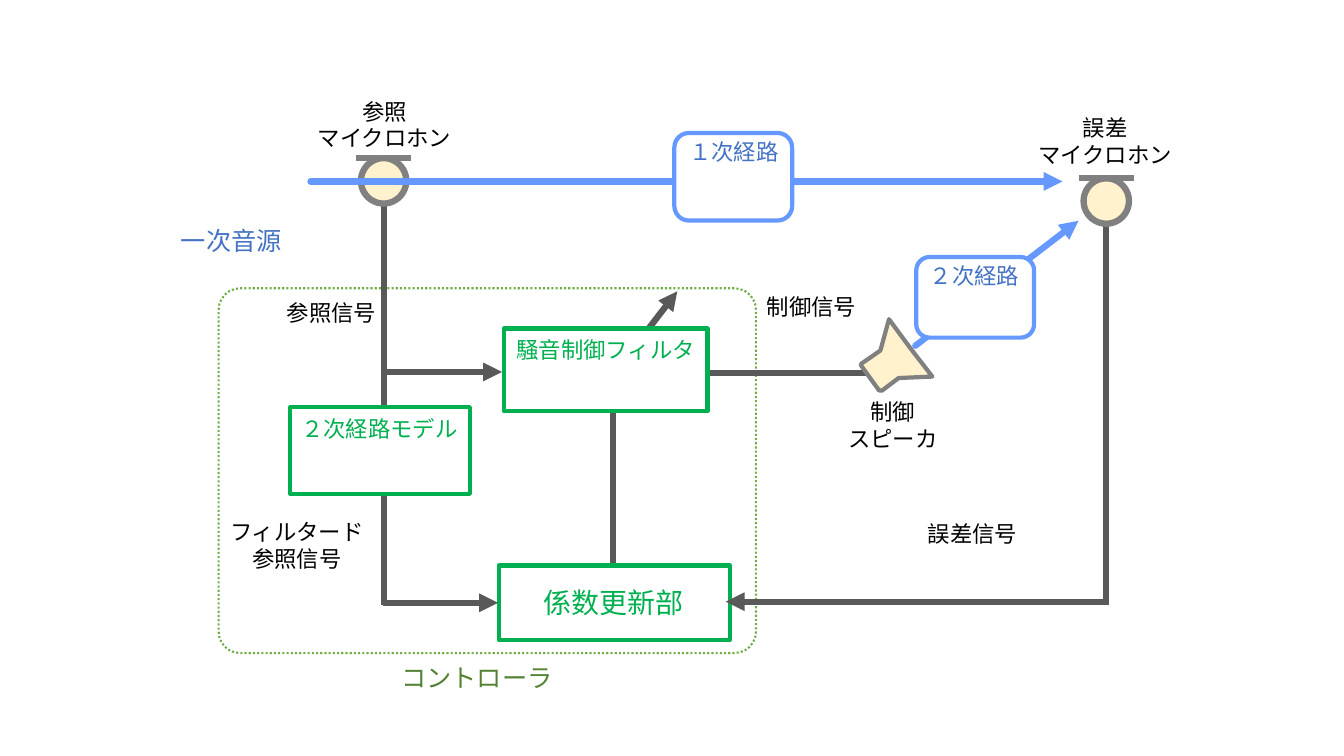
from lxml.etree import SubElement
from pptx import Presentation
from pptx.dml.color import RGBColor
from pptx.enum.dml import MSO_LINE
from pptx.enum.shapes import MSO_CONNECTOR, MSO_SHAPE
from pptx.enum.text import PP_ALIGN
from pptx.oxml.ns import qn
from pptx.util import Pt

FONT = "Noto Sans CJK JP"
COLORS = {
    "white": "FFFFFF", "black": "000000", "wire": "595959", "device": "808080",
    "cream": "FFF2CC", "sound": "6699FF", "sound_text": "4472C4",
    "block": "00B050", "frame": "70AD47", "frame_text": "548235",
}

CONTROLLER = (156.2, 205.9, 383.8, 260.6)
WIRES = [
    ((274.3, 136.8), (274.3, 432), False),
    ((435.6, 270.7), (483.8, 208.1), True),
    ((437.8, 411.1), (437.8, 283), False),
    ((789.8, 432), (789.8, 136.8), False),
    ((497.5, 266.4), (628.6, 266.4), False),
    ((275.8, 265.7), (358.6, 265.7), True),
]
UPDATE_INPUTS = [
    ((273.6, 430.6), (355.7, 430.6), True),
    ((790.6, 429.8), (518.4, 429.8), True),
]
SOUND_PATHS = [
    ((221.8, 129.6), (758.9, 129.6), True),
    ((653.8, 247), (770.4, 157.7), True),
]
MICROPHONES = [(274, 113), (790.2, 127.4)]
MIC_SIZE, MIC_BAR = 32.4, 39.6
SPEAKER = [
    (635, 228.2), (649.4, 247), (652.3, 250.6), (666, 269.3), (643, 270),
    (642.2, 270), (630, 279.4), (627.8, 279.4), (614.9, 261.4),
    (614.9, 259.9), (627.8, 250.6), (628.6, 249.8),
]
BLOCKS = [
    (207.4, 290.9, 128.2, 61.9),
    (360, 234.7, 145.4, 59),
    (356.4, 403.9, 164.9, 53.3),
]
PATH_BOXES = [(481.7, 95, 84.2, 62.6), (654.5, 183.6, 84.2, 57.6)]
LABELS = [
    (["２次経路モデル"], 271, 293, 16, "block"),
    (["騒音制御フィルタ"], 432.7, 236.2, 16, "block"),
    (["係数更新部"], 438.5, 414.7, 20, "block"),
    (["一次音源"], 165.2, 157.7, 18, "sound_text"),
    (["１次経路"], 524.2, 95, 16, "sound_text"),
    (["２次経路"], 696.2, 183.6, 16, "sound_text"),
    (["参照", "マイクロホン"], 274.7, 66.2, 16, "black"),
    (["誤差", "マイクロホン"], 789.5, 77.8, 16, "black"),
    (["制御", "スピーカ"], 637.9, 280.8, 16, "black"),
    (["参照信号"], 236.9, 210.2, 16, "black"),
    (["フィルタード", "参照信号"], 212, 366.5, 16, "black"),
    (["誤差信号"], 694.8, 367.9, 16, "black"),
    (["制御信号"], 579.6, 205.9, 16, "black"),
    (["コントローラ"], 340.6, 469.4, 18, "frame_text"),
]

prs = Presentation()
prs.slide_width, prs.slide_height = Pt(960), Pt(540)
slide = prs.slides.add_slide(prs.slide_layouts[6])
shapes = slide.shapes


def rgb(name):
    return RGBColor.from_string(COLORS[name])


def paint(shape, fill, line, width):
    shape.shadow.inherit = False
    shape.fill.solid()
    shape.fill.fore_color.rgb = rgb(fill)
    shape.line.color.rgb = rgb(line)
    shape.line.width = Pt(width)
    return shape


def add_block(preset, bounds, fill, line, width):
    shape = shapes.add_shape(preset, *map(Pt, bounds))
    return paint(shape, fill, line, width)


def add_line(start, end, arrow, color):
    line = shapes.add_connector(MSO_CONNECTOR.STRAIGHT, *map(Pt, start + end))
    line.line.color.rgb = rgb(color)
    line.line.width = Pt(4.5)
    if arrow:
        SubElement(line.line._get_or_add_ln(), qn("a:tailEnd"), type="triangle")
    SubElement(line._element.spPr, qn("a:effectLst"))
    return line


def add_microphone(center, top):
    bounds = (center - MIC_SIZE / 2, top, MIC_SIZE, MIC_SIZE)
    add_block(MSO_SHAPE.OVAL, bounds, "cream", "device", 4.5)
    half = MIC_BAR / 2
    add_line((center - half, top), (center + half, top), False, "device")


def add_label(lines, center, top, size, color):
    width = max(map(len, lines)) * size + 14.4
    height = len(lines) * size * 1.2 + 7.2
    label = shapes.add_textbox(Pt(center - width / 2), Pt(top), Pt(width), Pt(height))
    frame = label.text_frame
    frame.word_wrap = False
    frame.text = "\n".join(lines)
    for paragraph in frame.paragraphs:
        paragraph.alignment = PP_ALIGN.CENTER
        font = paragraph.font
        font.size = Pt(size)
        font.color.rgb = rgb(color)
        font.name = FONT
        SubElement(font._element, qn("a:ea"), typeface=FONT)


controller = add_block(MSO_SHAPE.ROUNDED_RECTANGLE, CONTROLLER, "white", "frame", 1.5)
controller.adjustments[0] = 0.059
controller.line.dash_style = MSO_LINE.ROUND_DOT

for wire in WIRES:
    add_line(*wire, "wire")
for microphone in MICROPHONES:
    add_microphone(*microphone)
for sound_path in SOUND_PATHS:
    add_line(*sound_path, "sound").line._get_or_add_ln().set("cap", "rnd")

outline = shapes.build_freeform(*SPEAKER[0], scale=Pt(1))
outline.add_line_segments(SPEAKER[1:], close=True)
paint(outline.convert_to_shape(), "cream", "device", 3)

for bounds in BLOCKS:
    add_block(MSO_SHAPE.RECTANGLE, bounds, "white", "block", 3)
for bounds in PATH_BOXES:
    add_block(MSO_SHAPE.ROUNDED_RECTANGLE, bounds, "white", "sound", 3)
for wire in UPDATE_INPUTS:
    add_line(*wire, "wire")
for label in LABELS:
    add_label(*label)

prs.save("out.pptx")
